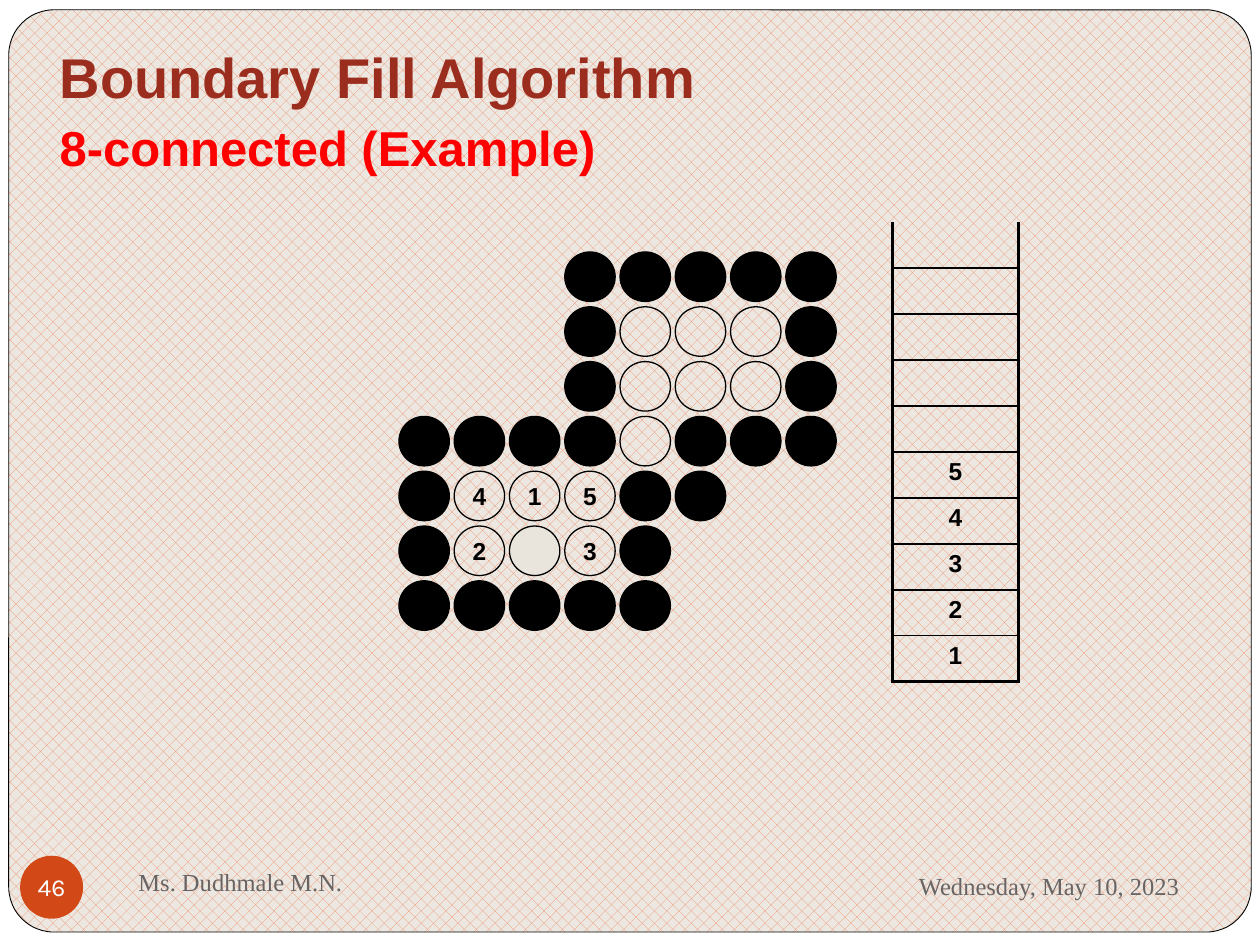
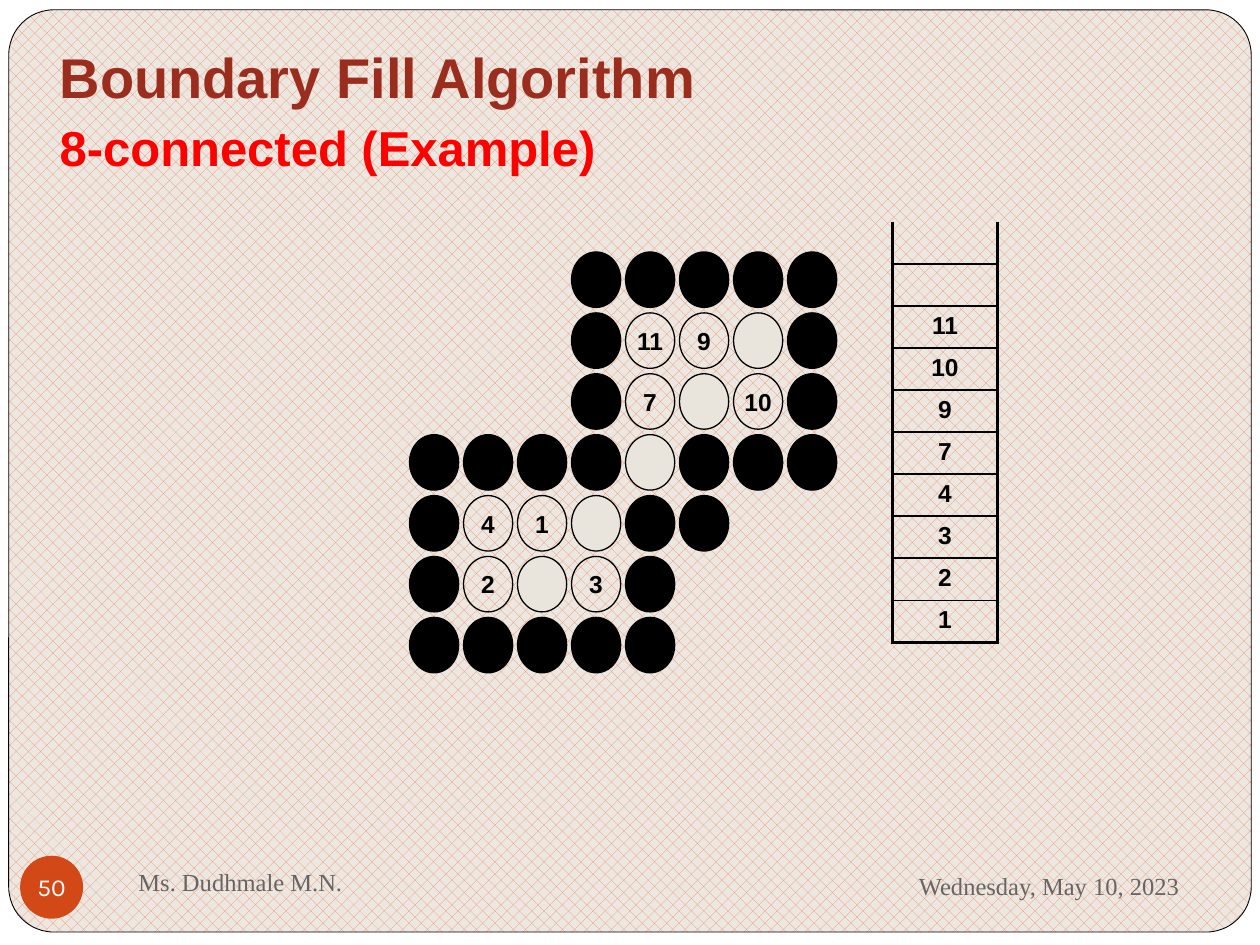
"""Builds two steps of the 8-connected boundary fill example, each with its stack."""
from lxml import etree
from pptx import Presentation
from pptx.dml.color import RGBColor
from pptx.enum.dml import MSO_PATTERN
from pptx.enum.shapes import MSO_SHAPE
from pptx.enum.text import MSO_ANCHOR, PP_ALIGN
from pptx.oxml.ns import qn
from pptx.util import Pt

LEFT, CENTER, RIGHT = PP_ALIGN.LEFT, PP_ALIGN.CENTER, PP_ALIGN.RIGHT
MIDDLE = MSO_ANCHOR.MIDDLE
OVAL, ROUNDED = MSO_SHAPE.OVAL, MSO_SHAPE.ROUNDED_RECTANGLE
DOTS = MSO_PATTERN.PERCENT_30

WHITE, BLACK, RED, BROWN = "FFFFFF", "000000", "FF0000", "9B2D1F"
ORANGE, GREY, FILLED = "D34817", "696464", "E9E5DC"
PAPER, SPECKLE = "ECE8E1", "EF8C6A"
SERIF = "Times New Roman"

TITLE_LINES = [("Boundary Fill Algorithm", 32, BROWN, 0), ("8-connected (Example)", 28, RED, 4.5)]
FOOTERS = [("Ms. Dudhmale M.N.", LEFT, (72, 486, 312, 36)),
           ("Wednesday, May 10, 2023", RIGHT, (486, 487.4, 195, 37.4))]

# In the pixel maps: # boundary, . unvisited, o filled, - nothing, digits are stack entries.
STEPS = [
    dict(number="46", origin=(228, 144), pitch=(31.58, 31.32), dot=(28.8, 28.3),
         pixels=["- - - # # # # #",
                 "- - - # . . . #",
                 "- - - # . . . #",
                 "# # # # . # # #",
                 "# 4 1 5 # # - -",
                 "# 2 o 3 # - - -",
                 "# # # # # - - -"],
         stack=["5", "4", "3", "2", "1"], cell=(72, 26.3)),
    dict(number="50", origin=(234, 144), pitch=(30.86, 34.8), dot=(28.1, 31.7),
         pixels=["- - - # # # # #",
                 "- - - # 11 9 o #",
                 "- - - # 7 o 10 #",
                 "# # # # o # # #",
                 "# 4 1 o # # - -",
                 "# 2 o 3 # - - -",
                 "# # # # # - - -"],
         stack=["11", "10", "9", "7", "4", "3", "2", "1"], cell=(60, 24)),
]
STACK_ROWS = 10
STACK_LEFT, STACK_TOP = 510, 126.8


def color(value):
    return RGBColor.from_string(value)


def write(para, text, size=14, font="Arial", ink=BLACK, bold=False, align=LEFT, before=0):
    para.alignment = align
    para.space_before = Pt(before)
    span = para.add_run()
    span.text = text
    span.font.size = Pt(size)
    span.font.name = font
    span.font.bold = bold
    span.font.color.rgb = color(ink)


deck = Presentation()
deck.slide_width, deck.slide_height = Pt(720), Pt(540)

for step in STEPS:
    page = deck.slides.add_slide(deck.slide_layouts[6])
    page.background.fill.solid()
    page.background.fill.fore_color.rgb = color(WHITE)

    frame = page.shapes.add_shape(ROUNDED, Pt(5), Pt(5.6), Pt(710), Pt(527))
    frame.shadow.inherit = False
    frame.adjustments[0] = 0.049
    frame.fill.patterned()
    frame.fill.pattern = DOTS
    frame.fill.fore_color.rgb = color(SPECKLE)
    frame.fill.back_color.rgb = color(PAPER)
    frame.line.color.rgb = color(BLACK)
    frame.line.width = Pt(0.5)

    title = page.shapes.add_textbox(Pt(27), Pt(18), Pt(666), Pt(84)).text_frame
    title.word_wrap = True
    title.margin_top = Pt(6.5)
    for index, (text, size, ink, before) in enumerate(TITLE_LINES):
        para = title.add_paragraph() if index else title.paragraphs[0]
        write(para, text, size=size, ink=ink, bold=True, before=before)

    for text, align, bounds in FOOTERS:
        footer = page.shapes.add_textbox(*map(Pt, bounds)).text_frame
        footer.word_wrap = True
        footer.vertical_anchor = MIDDLE
        write(footer.paragraphs[0], text, font=SERIF, ink=GREY, align=align)

    badge = page.shapes.add_shape(OVAL, Pt(11.5), Pt(489), Pt(36), Pt(36))
    badge.shadow.inherit = False
    badge.fill.solid()
    badge.fill.fore_color.rgb = color(ORANGE)
    badge.line.fill.background()
    badge.text_frame.word_wrap = False
    badge.text_frame.vertical_anchor = MIDDLE
    write(badge.text_frame.paragraphs[0], step["number"], font="Karla", ink=WHITE, align=CENTER)

    grid = page.shapes.add_group_shape()
    for row, pixels in enumerate(step["pixels"]):
        for column, mark in enumerate(pixels.split()):
            if mark == "-":
                continue
            left = step["origin"][0] + column * step["pitch"][0]
            top = step["origin"][1] + row * step["pitch"][1]
            pixel = grid.shapes.add_shape(OVAL, Pt(left), Pt(top), *map(Pt, step["dot"]))
            pixel.shadow.inherit = False
            pixel.line.color.rgb = color(BLACK)
            pixel.line.width = Pt(0.75)
            if mark in "#o":
                pixel.fill.solid()
                pixel.fill.fore_color.rgb = color(BLACK if mark == "#" else FILLED)
            else:
                pixel.fill.background()
            if mark.isdigit():
                pixel.text_frame.word_wrap = False
                pixel.text_frame.vertical_anchor = MIDDLE
                write(pixel.text_frame.paragraphs[0], mark, bold=True, align=CENTER)

    width, height = step["cell"]
    table = page.shapes.add_table(STACK_ROWS, 1, Pt(STACK_LEFT), Pt(STACK_TOP),
                                  Pt(width), Pt(height * STACK_ROWS)).table
    table.first_row = table.horz_banding = False
    empty_rows = STACK_ROWS - len(step["stack"])
    for row in range(STACK_ROWS):
        table.rows[row].height = Pt(height)
        cell = table.cell(row, 0)
        cell.fill.background()
        if row < empty_rows:
            cell.margin_top = cell.margin_bottom = 0
        else:
            write(cell.text_frame.paragraphs[0], step["stack"][row - empty_rows],
                  bold=True, align=CENTER)
        borders = {"a:lnL": 2.25, "a:lnR": 2.25, "a:lnT": 1 if row else 0,
                   "a:lnB": 2.25 if row == STACK_ROWS - 1 else 1}
        properties = cell._tc.get_or_add_tcPr()
        for index, (side, weight) in enumerate(borders.items()):
            border = etree.Element(qn(side), w=str(Pt(weight)))
            if weight:
                paint = etree.SubElement(border, qn("a:solidFill"))
                etree.SubElement(paint, qn("a:srgbClr"), val=BLACK)
            else:
                etree.SubElement(border, qn("a:noFill"))
            properties.insert(index, border)

deck.save("out.pptx")
